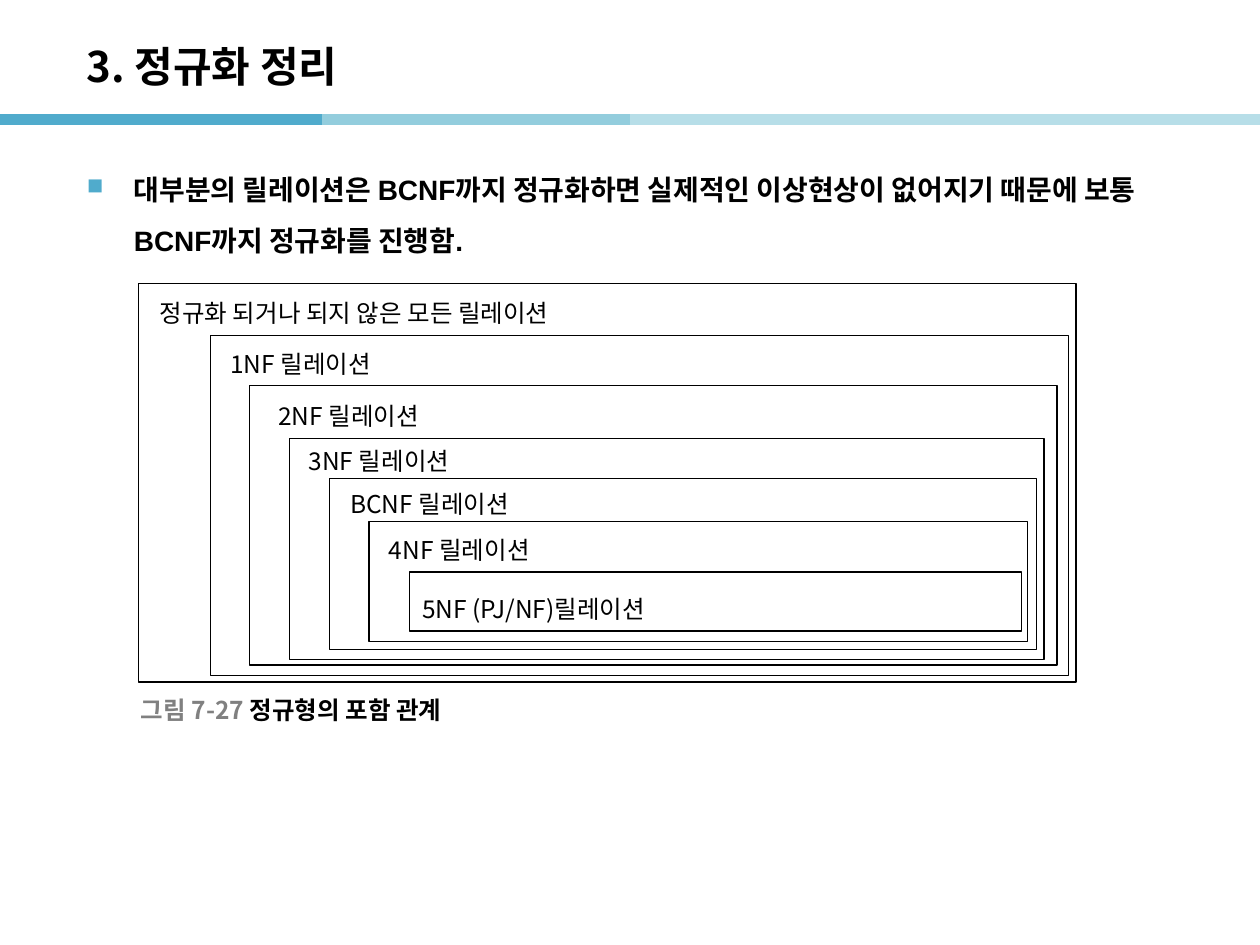
from typing import NamedTuple

import pptx
import pptx.dml.color
import pptx.enum.shapes
import pptx.enum.text
import pptx.oxml
import pptx.oxml.ns
import pptx.util
from lxml import etree

Cm = pptx.util.Cm
Pt = pptx.util.Pt
RGBColor = pptx.dml.color.RGBColor
ANCHOR = pptx.enum.text.MSO_ANCHOR

BLACK = RGBColor(0x00, 0x00, 0x00)
GRAY = RGBColor(0x80, 0x80, 0x80)
BLUE = RGBColor(0x50, 0xAB, 0xCC)
MID_BLUE = RGBColor(0x93, 0xCD, 0xDD)
PALE_BLUE = RGBColor(0xB7, 0xDE, 0xE8)
KOREAN_FONT = "Noto Sans CJK KR"
RULE_TOP = 2.41
RULE_LENGTH = 6.5


class Area(NamedTuple):
    """Left, top, width and height in centimetres."""
    left: float
    top: float
    width: float
    height: float

    def lengths(self) -> list:
        return [Cm(value) for value in self]


class NormalForm(NamedTuple):
    label: str
    frame: Area
    label_area: Area


class RuleSegment(NamedTuple):
    left: float
    color: RGBColor


RULE = [
    RuleSegment(0, BLUE),
    RuleSegment(6.5, MID_BLUE),
    RuleSegment(12.7, PALE_BLUE),
    RuleSegment(18.95, PALE_BLUE),
]

NORMAL_FORMS = [
    NormalForm("정규화 되거나 되지 않은 모든 릴레이션",
               Area(2.79, 5.72, 18.9, 8.03), Area(2.97, 5.89, 11.38, 0.86)),
    NormalForm("1NF 릴레이션",
               Area(4.24, 6.76, 17.3, 6.86), Area(4.39, 6.91, 3.68, 1.45)),
    NormalForm("2NF 릴레이션",
               Area(5.03, 7.77, 16.28, 5.64), Area(5.36, 7.95, 3.68, 1.45)),
    NormalForm("3NF 릴레이션",
               Area(5.84, 8.84, 15.21, 4.45), Area(5.97, 8.86, 3.68, 1.45)),
    NormalForm("BCNF 릴레이션",
               Area(6.65, 9.65, 14.25, 3.45), Area(6.81, 9.73, 4.93, 0.86)),
    NormalForm("4NF 릴레이션",
               Area(7.44, 10.52, 13.28, 2.41), Area(7.59, 10.67, 3.68, 1.45)),
    NormalForm("5NF (PJ/NF)릴레이션",
               Area(8.26, 11.53, 12.34, 1.19), Area(8.26, 11.86, 5.13, 1.45)),
]


def add_span(para, text: str, *, size: float = 14, font: str = KOREAN_FONT,
             color: RGBColor = BLACK, bold: bool = False) -> None:
    span = para.add_run()
    span.text = text
    span.font.size = Pt(size)
    span.font.name = font
    span.font.bold = bold
    span.font.color.rgb = color
    east_asian = etree.SubElement(span.font._element, pptx.oxml.ns.qn("a:ea"))
    east_asian.set("typeface", KOREAN_FONT)


def add_box(page, area: Area, *, anchor=ANCHOR.TOP):
    """Add an empty text box and return its first paragraph."""
    frame = page.shapes.add_textbox(*area.lengths()).text_frame
    frame.word_wrap = True
    frame.vertical_anchor = anchor
    return frame.paragraphs[0]


def add_bullet(para, symbol: str, color: RGBColor, indent: float) -> None:
    properties = para._p.get_or_add_pPr()
    properties.set("marL", str(Cm(indent)))
    properties.set("indent", str(-Cm(indent)))
    bullet_color = etree.SubElement(properties, pptx.oxml.ns.qn("a:buClr"))
    etree.SubElement(bullet_color, pptx.oxml.ns.qn("a:srgbClr")).set("val", str(color))
    etree.SubElement(properties, pptx.oxml.ns.qn("a:buSzPct")).set("val", "80000")
    etree.SubElement(properties, pptx.oxml.ns.qn("a:buChar")).set("char", symbol)


def add_rule_segment(page, segment: RuleSegment) -> None:
    line = page.shapes.add_connector(
        pptx.enum.shapes.MSO_CONNECTOR.STRAIGHT, Cm(segment.left), Cm(RULE_TOP),
        Cm(segment.left + RULE_LENGTH), Cm(RULE_TOP))
    line.line.color.rgb = segment.color
    line.line.width = Pt(6)
    etree.SubElement(line._element.spPr, pptx.oxml.ns.qn("a:effectLst"))


def add_normal_form(page, form: NormalForm) -> None:
    frame = page.shapes.add_shape(
        pptx.enum.shapes.MSO_SHAPE.RECTANGLE, *form.frame.lengths())
    frame.shadow.inherit = False
    frame.fill.background()
    frame.line.color.rgb = BLACK
    frame.line.width = Pt(0.75)
    add_span(add_box(page, form.label_area), form.label)


def main() -> None:
    deck = pptx.Presentation()
    deck.slide_width, deck.slide_height = Cm(25.4), Cm(19.05)
    page = deck.slides.add_slide(deck.slide_layouts[6])

    for segment in RULE:
        add_rule_segment(page, segment)

    title = add_box(page, Area(1.5, 0.56, 21, 1.52), anchor=ANCHOR.MIDDLE)
    add_span(title, "3. 정규화 정리", size=24, bold=True)

    body = add_box(page, Area(1.5, 3.02, 22.4, 15.19))
    body.line_spacing = 1.5
    add_bullet(body, "■", BLUE, 0.95)
    add_span(body, "대부분의 릴레이션은 BCNF까지 정규화하면 실제적인 이상현상이 없어지기 "
             "때문에 보통 BCNF까지 정규화를 진행함.", size=16, font="Arial", bold=True)

    for form in NORMAL_FORMS:
        add_normal_form(page, form)

    caption = add_box(page, Area(2.59, 13.92, 7.5, 0.79), anchor=ANCHOR.MIDDLE)
    add_span(caption, "그림 7-27 ", color=GRAY, bold=True)
    add_span(caption, "정규형의 포함 관계", bold=True)

    deck.save("out.pptx")


if __name__ == "__main__":
    main()
